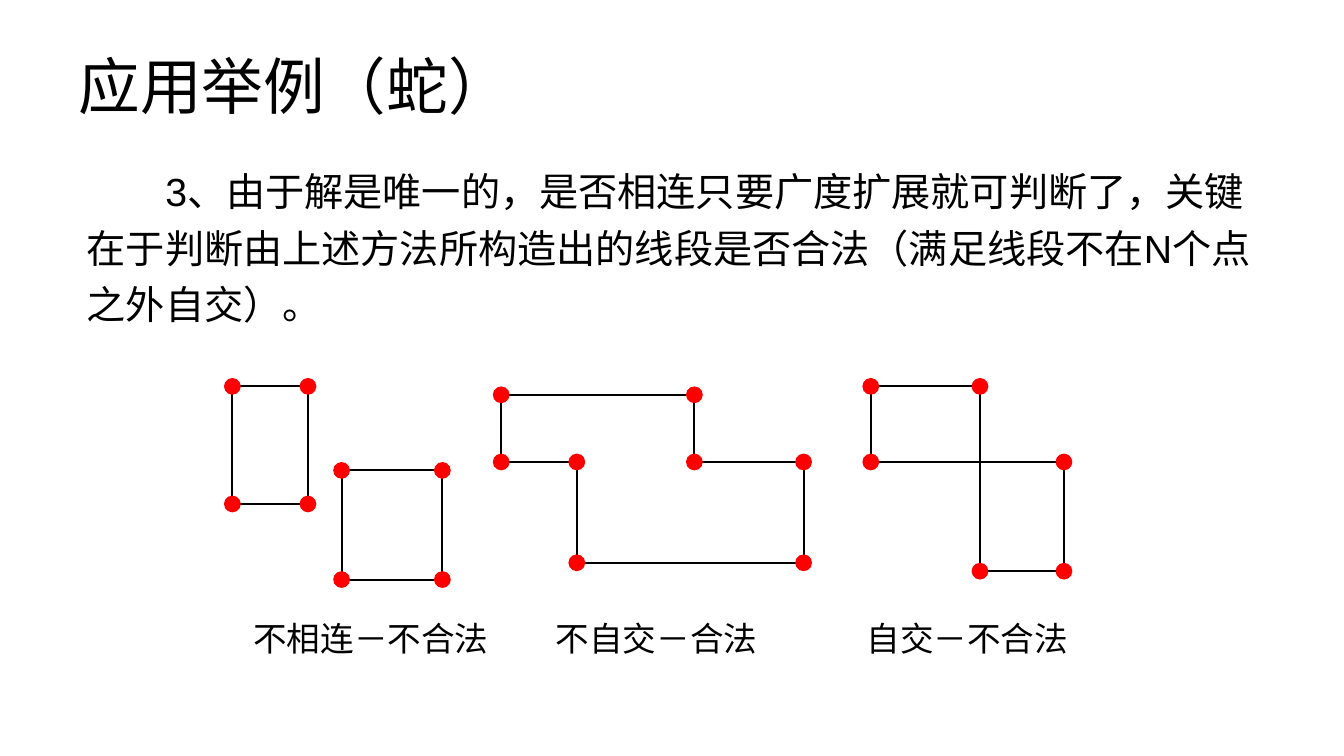
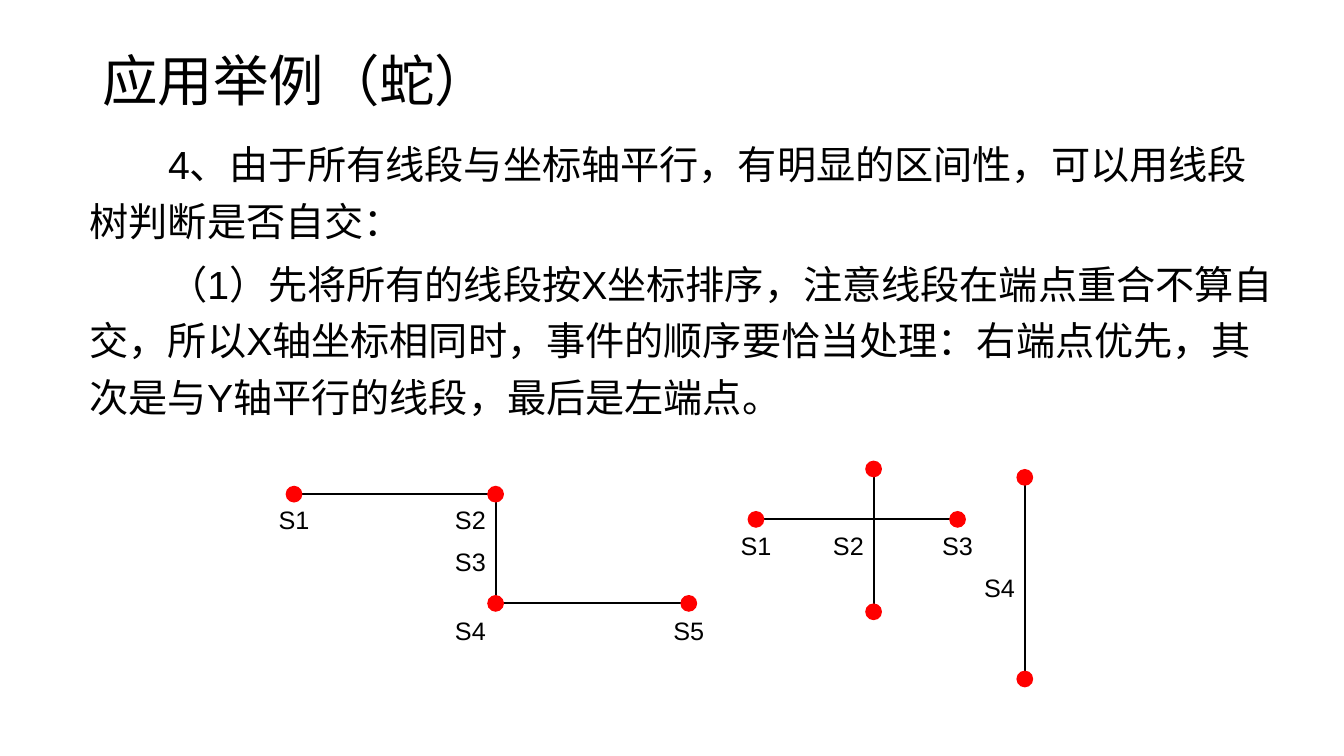
from itertools import pairwise
from lxml.etree import SubElement
from pptx import Presentation
from pptx.dml.color import RGBColor
from pptx.enum.lang import MSO_LANGUAGE_ID
from pptx.enum.shapes import MSO_CONNECTOR, MSO_SHAPE
from pptx.enum.text import MSO_ANCHOR, PP_ALIGN
from pptx.oxml.ns import qn
from pptx.util import Pt

# Theme: colours, type sizes and line weights
THEME = {
    "ink": RGBColor(0, 0, 0),
    "dot": RGBColor(255, 0, 0),
    "head": "Calibri",
    "text": "Arial",
    "body": 28,
    "note": 24,
    "mark": 18,
    "line": 1.5,
    "size": 12,
    "indent": 56,
}
TITLE = "应用举例（蛇）"
HEAD = {"line_spacing": 0.9}
BODY = {"line_spacing": 1.2}
MID = {"alignment": PP_ALIGN.CENTER}

# Slide content: each path is a list of corners, with a dot on every corner
PAGES = [
    {
        "title": (49, 29, 828, 70, 44),
        "body": (55, 109.5, 850, 130),
        "text": ["3、由于解是唯一的，是否相连只要广度扩展就可判断了，关键在于判断由上述方法所构造出的线段"
                 "是否合法（满足线段不在N个点之外自交）。"],
        "paths": [
            [(166, 276), (220, 276), (220, 360), (166, 360), (166, 276)],
            [(244, 336), (316, 336), (316, 414), (244, 414), (244, 336)],
            [(358, 282), (496, 282), (496, 330), (574, 330), (574, 402),
             (412, 402), (412, 330), (358, 330), (358, 282)],
            [(622, 276), (700, 276), (700, 408), (760, 408), (760, 330),
             (622, 330), (622, 276)],
        ],
        "labels": [("不相连－不合法", 265, 438), ("不自交－合法", 469, 438),
                   ("自交－不合法", 691, 438)],
        "font": THEME["note"],
        "box": (186, 36),
    },
    {
        "title": (66, 29, 828, 61, 39.6),
        "body": (57, 90, 860, 216),
        "text": ["4、由于所有线段与坐标轴平行，有明显的区间性，可以用线段树判断是否自交：",
                 "（1）先将所有的线段按X坐标排序，注意线段在端点重合不算自交，所以X轴坐标相同时，"
                 "事件的顺序要恰当处理：右端点优先，其次是与Y轴平行的线段，最后是左端点。"],
        "paths": [
            [(210, 353), (354, 353), (354, 431), (492, 431)],
            [(540, 371), (684, 371)],
            [(624, 335), (624, 437)],
            [(732, 341), (732, 485)],
        ],
        "labels": [("S1", 210, 357), ("S2", 336, 357), ("S3", 336, 387),
                   ("S4", 336, 436), ("S5", 492, 436), ("S1", 540, 375),
                   ("S2", 606, 375), ("S3", 684, 375), ("S4", 714, 405)],
        "font": THEME["mark"],
        "box": (48, 31),
    },
]


def write(slide, box, lines, face, size, form, indent=0):
    """Add a wrapped text box and return its frame."""
    frame = slide.shapes.add_textbox(*map(Pt, box)).text_frame
    frame.word_wrap = True
    look = {"name": face, "size": Pt(size),
            "language_id": MSO_LANGUAGE_ID.SIMPLIFIED_CHINESE}
    for i, line in enumerate(lines):
        para = frame.add_paragraph() if i else frame.paragraphs[0]
        for key, value in form.items():
            setattr(para, key, value)
        if i:
            para.space_before = Pt(5)
        if indent:
            para._p.get_or_add_pPr().set("indent", str(Pt(indent)))
        run = para.add_run()
        run.text = line
        for key, value in look.items():
            setattr(run.font, key, value)
        run.font.color.rgb = THEME["ink"]
    return frame


def trace(slide, path):
    """Join the corners of a path and put a dot on each."""
    for start, end in pairwise(path):
        edge = slide.shapes.add_connector(
            MSO_CONNECTOR.STRAIGHT, *map(Pt, start + end))
        edge.line.color.rgb = THEME["ink"]
        edge.line.width = Pt(THEME["line"])
        SubElement(edge._element.spPr, qn("a:effectLst"))
    size = THEME["size"]
    for x, y in dict.fromkeys(path):
        dot = slide.shapes.add_shape(
            MSO_SHAPE.OVAL, Pt(x - size / 2), Pt(y - size / 2), Pt(size), Pt(size))
        dot.shadow.inherit = False
        dot.fill.solid()
        dot.fill.fore_color.rgb = THEME["dot"]
        dot.line.fill.background()


deck = Presentation()
deck.slide_width, deck.slide_height = Pt(960), Pt(540)

for page in PAGES:
    slide = deck.slides.add_slide(deck.slide_layouts[6])

    # Title and body text
    *box, size = page["title"]
    frame = write(slide, box, [TITLE], THEME["head"], size, HEAD)
    frame.vertical_anchor = MSO_ANCHOR.MIDDLE
    for side in ("left", "top", "right", "bottom"):
        setattr(frame, f"margin_{side}", Pt(7.2))
    write(slide, page["body"], page["text"], THEME["text"], THEME["body"],
          BODY, THEME["indent"])

    # Line figures
    for path in page["paths"]:
        trace(slide, path)

    # Labels, centred on their x
    wide, high = page["box"]
    for text, x, y in page["labels"]:
        write(slide, (x - wide / 2, y, wide, high), [text],
              THEME["text"], page["font"], MID)

deck.save("out.pptx")
